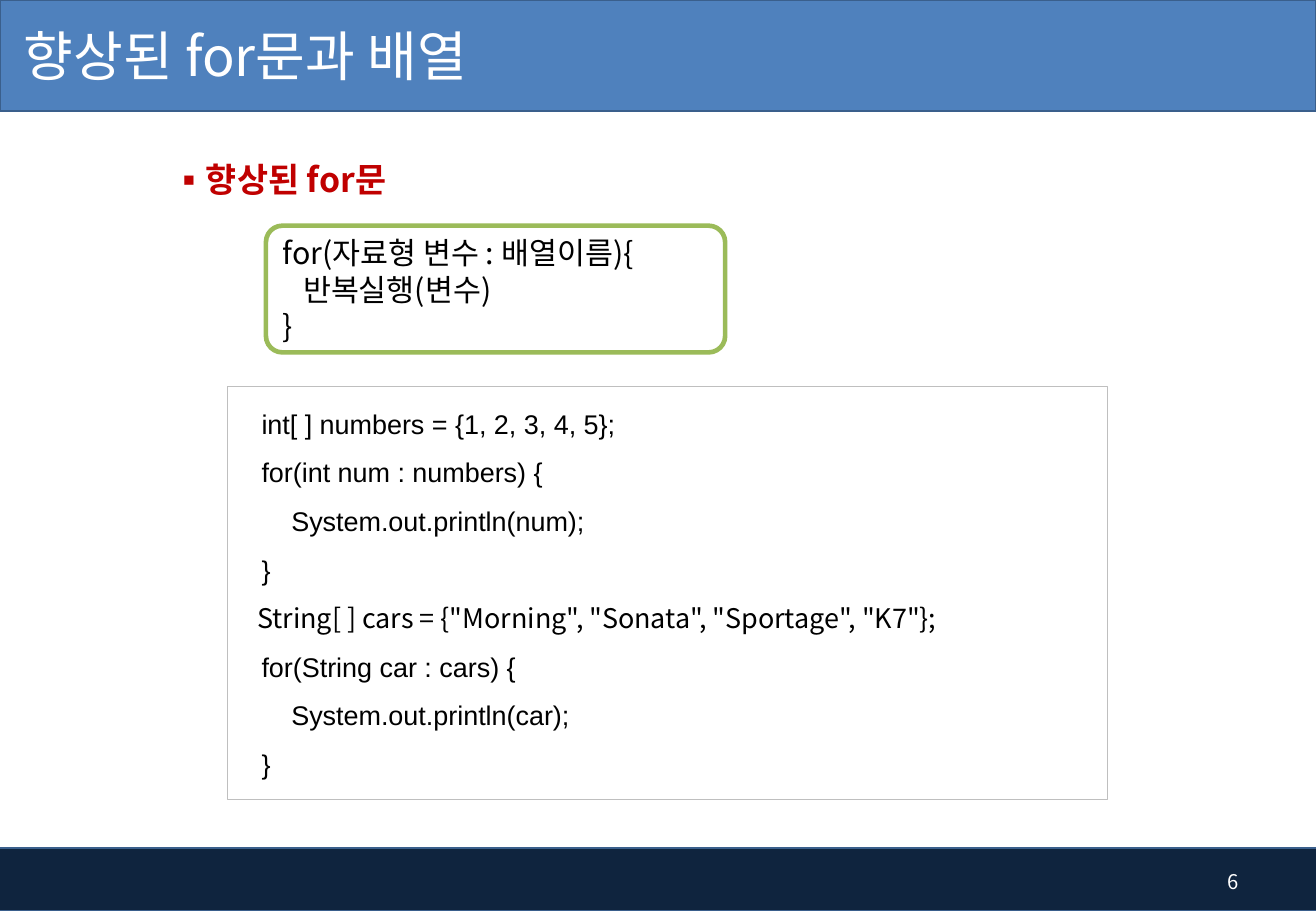
from dataclasses import dataclass

from lxml import etree
from pptx import Presentation
from pptx.dml.color import RGBColor
from pptx.enum import shapes, text
from pptx.oxml.ns import qn
from pptx.util import Cm, Pt

SANS = "Noto Sans CJK KR"
CODE_FONT = "Arial"
WHITE = RGBColor(0xFF, 0xFF, 0xFF)
BLACK = RGBColor(0, 0, 0)
RED = RGBColor(0xC0, 0, 0)
NAVY = RGBColor(0x0F, 0x24, 0x3E)
BLUE = RGBColor(0x4F, 0x81, 0xBD)
DARK_BLUE = RGBColor(0x3A, 0x5F, 0x8C)
GREEN = RGBColor(0x9B, 0xBB, 0x59)
GRAY = RGBColor(0xBF, 0xBF, 0xBF)

SLIDE_WIDTH = 27.51
SLIDE_HEIGHT = 19.05


@dataclass(frozen=True)
class Panel:
    left: float
    top: float
    width: float
    height: float
    fill: RGBColor
    line: RGBColor
    line_width: float
    kind: shapes.MSO_SHAPE = shapes.MSO_SHAPE.RECTANGLE


@dataclass(frozen=True)
class Style:
    size: float
    color: RGBColor
    font: str = SANS
    bold: bool = False


HEADER = Panel(0, 0, SLIDE_WIDTH, 2.33, BLUE, DARK_BLUE, 1)
FOOTER = Panel(-0.1, 17.73, 27.63, 1.32, NAVY, DARK_BLUE, 1)
EXAMPLE = Panel(4.75, 8.08, 18.4, 8.64, WHITE, GRAY, 0.75)
SYNTAX = Panel(5.56, 4.72, 9.6, 2.65, WHITE, GREEN, 2.75,
               shapes.MSO_SHAPE.ROUNDED_RECTANGLE)

SYNTAX_LINES = ["for(자료형 변수 : 배열이름){", "   반복실행(변수)", "}"]
EXAMPLE_LINES = [
    ("   int[ ] numbers = {1, 2, 3, 4, 5};", CODE_FONT),
    ("   for(int num : numbers) {", CODE_FONT),
    ("       System.out.println(num);", CODE_FONT),
    ("   }", CODE_FONT),
    ('   String[ ] cars = {"Morning", "Sonata", "Sportage", "K7"};', SANS),
    ("   for(String car : cars) {", CODE_FONT),
    ("       System.out.println(car);", CODE_FONT),
    ("   }", CODE_FONT),
]


def add_panel(slide, panel: Panel):
    shape = slide.shapes.add_shape(panel.kind, Cm(panel.left), Cm(panel.top),
                                   Cm(panel.width), Cm(panel.height))
    shape.shadow.inherit = False
    shape.fill.solid()
    shape.fill.fore_color.rgb = panel.fill
    shape.line.color.rgb = panel.line
    shape.line.width = Pt(panel.line_width)
    return shape


def add_text_box(slide, left: float, top: float, width: float, height: float):
    frame = slide.shapes.add_textbox(Cm(left), Cm(top), Cm(width), Cm(height)).text_frame
    frame.word_wrap = True
    return frame


def add_run(paragraph, words: str, style: Style) -> None:
    run = paragraph.add_run()
    run.text = words
    run.font.size = Pt(style.size)
    run.font.bold = style.bold
    run.font.color.rgb = style.color
    run.font.name = style.font
    east_asian = etree.Element(qn("a:ea"), typeface=style.font)
    run.font._element.find(qn("a:latin")).addnext(east_asian)


def add_lines(frame, lines: list[tuple[str, Style]], spacing=None) -> None:
    for index, (words, style) in enumerate(lines):
        paragraph = frame.add_paragraph() if index else frame.paragraphs[0]
        paragraph.alignment = text.PP_ALIGN.LEFT
        paragraph.line_spacing = spacing
        add_run(paragraph, words, style)


def add_bullet(paragraph, mark: str, indent: float) -> None:
    properties = paragraph._p.get_or_add_pPr()
    properties.set("marL", str(Cm(indent)))
    properties.set("indent", str(Cm(-indent)))
    etree.SubElement(properties, qn("a:buFont"), typeface=SANS)
    etree.SubElement(properties, qn("a:buChar"), char=mark)


def format_title(title) -> None:
    title.left, title.top, title.width, title.height = Cm(0), Cm(-0.05), Cm(17.22), Cm(2.39)
    frame = title.text_frame
    frame.auto_size = text.MSO_AUTO_SIZE.NONE
    frame.vertical_anchor = text.MSO_ANCHOR.MIDDLE
    frame.margin_left = Cm(0.5)
    add_lines(frame, [("향상된 for문과 배열", Style(32, WHITE))])


def main() -> None:
    deck = Presentation()
    deck.slide_width, deck.slide_height = Cm(SLIDE_WIDTH), Cm(SLIDE_HEIGHT)
    slide = deck.slides.add_slide(deck.slide_layouts[5])

    add_panel(slide, FOOTER)
    header = add_panel(slide, HEADER)
    title = slide.shapes.title
    header.element.addnext(title.element)
    format_title(title)

    page_number = add_text_box(slide, 24.59, 17.93, 1.55, 1.02)
    page_number.vertical_anchor = text.MSO_ANCHOR.MIDDLE
    page_number.paragraphs[0].alignment = text.PP_ALIGN.RIGHT
    add_run(page_number.paragraphs[0], "6", Style(12, WHITE))

    subtitle = add_text_box(slide, 3.35, 2.77, 9.22, 1.6).paragraphs[0]
    subtitle.line_spacing = 1.5
    add_bullet(subtitle, "▪", 0.64)
    add_run(subtitle, "향상된 for문", Style(20, RED, bold=True))

    example = add_panel(slide, EXAMPLE).text_frame
    example.vertical_anchor = text.MSO_ANCHOR.TOP
    example.margin_top = Cm(0.1)
    add_lines(example, [(line, Style(16, BLACK, font)) for line, font in EXAMPLE_LINES],
              Pt(28.8))

    syntax_box = add_panel(slide, SYNTAX)
    syntax_box.adjustments[0] = 0.13
    syntax = syntax_box.text_frame
    syntax.vertical_anchor = text.MSO_ANCHOR.MIDDLE
    add_lines(syntax, [(line, Style(18, BLACK)) for line in SYNTAX_LINES])

    deck.save("out.pptx")


if __name__ == "__main__":
    main()
